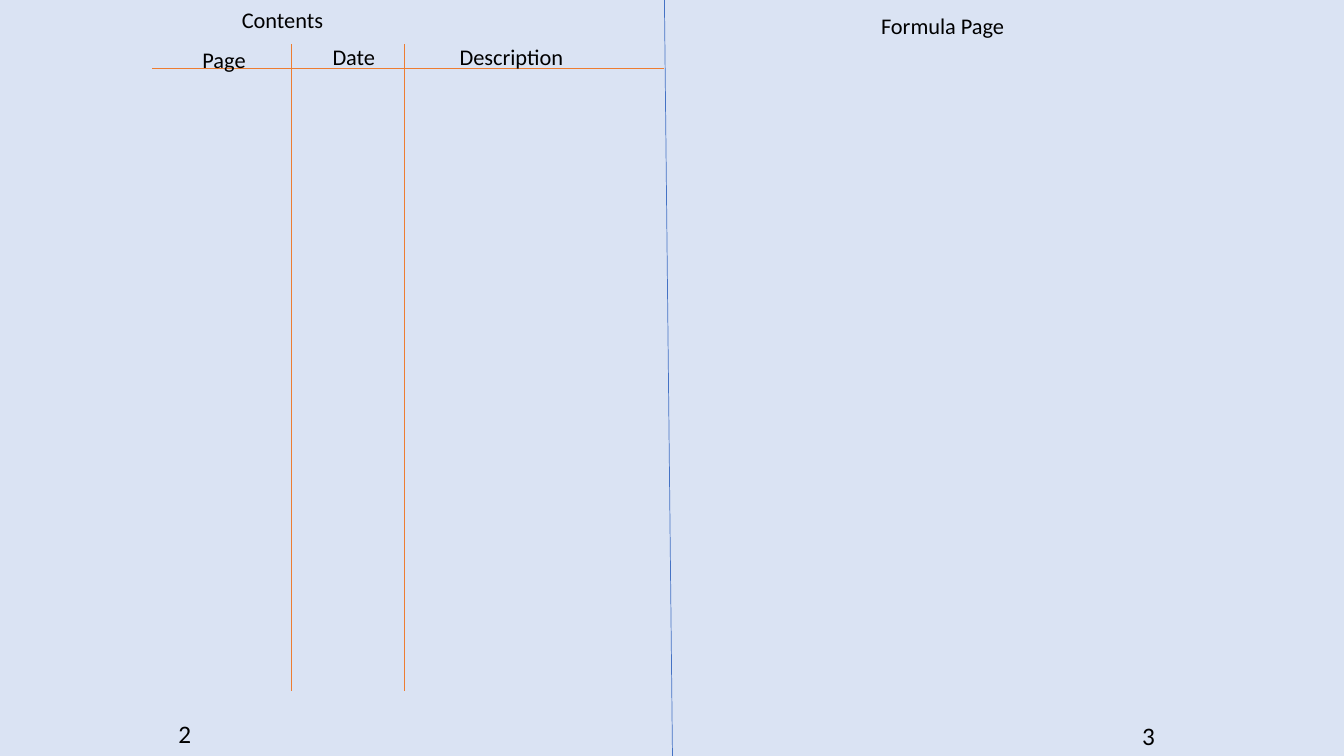
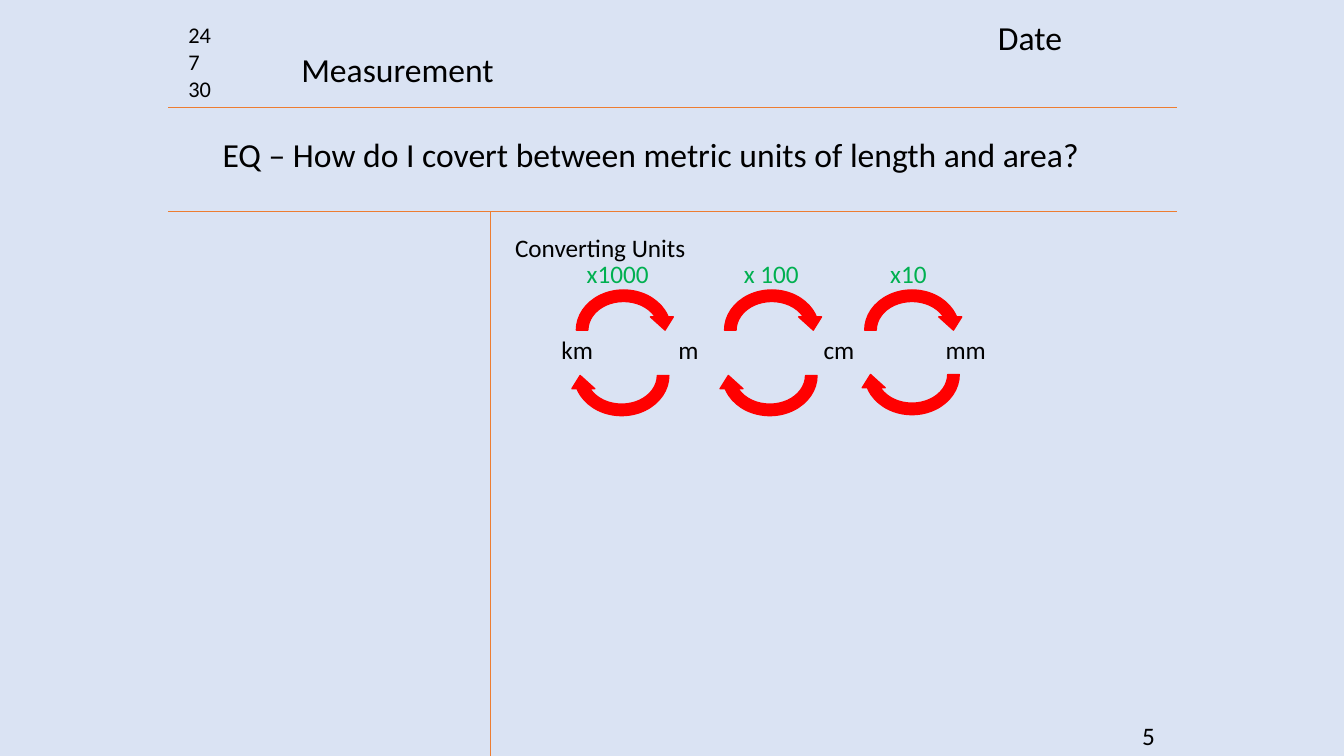
from pptx import Presentation
from pptx.dml.color import RGBColor
from pptx.enum import shapes
from pptx.oxml.ns import qn
from pptx.util import Inches, Pt
from lxml import etree

FONT = "Calibri"
PAPER = "DAE3F3"
INK = "000000"
RULE = "ED7D31"
FOLD = "4472C4"
ARROW = "FF0000"
FACTOR = "00B050"


def colour(value):
    return RGBColor.from_string(value)


def add_page(deck):
    page = deck.slides.add_slide(deck.slide_layouts[6])
    fill = page.background.fill
    fill.solid()
    fill.fore_color.rgb = colour(PAPER)
    return page


def add_text(page, content, left, top, width, height=0.4, size=18, ink=INK):
    box = page.shapes.add_textbox(Inches(left), Inches(top), Inches(width), Inches(height))
    frame = box.text_frame
    frame.word_wrap = True
    frame.text = content
    for para in frame.paragraphs:
        para.font.name = FONT
        para.font.size = Pt(size)
        para.font.color.rgb = colour(ink)


def add_rule(page, start, end, ink=RULE):
    rule = page.shapes.add_connector(
        shapes.MSO_CONNECTOR.STRAIGHT, *[Inches(value) for value in start + end])
    rule.line.color.rgb = colour(ink)
    rule.line.width = Pt(0.5)
    etree.SubElement(rule._element.spPr, qn("a:effectLst"))


def add_arrow(page, left, top, rotation=0):
    arrow = page.shapes.add_shape(
        shapes.MSO_SHAPE.CIRCULAR_ARROW, Inches(left), Inches(top), Inches(1.05), Inches(0.91))
    arrow.rotation = rotation
    arrow.shadow.inherit = False
    arrow.fill.solid()
    arrow.fill.fore_color.rgb = colour(ARROW)
    arrow.line.color.rgb = colour(ARROW)
    arrow.line.width = Pt(1)


def add_right_number(page, number):
    add_text(page, number, 11.23, 7.1, 0.6)


def build_contents(deck):
    page = add_page(deck)
    add_rule(page, (6.59, 0), (6.67, 7.5), FOLD)
    add_rule(page, (1.51, 0.68), (6.59, 0.68))
    for x in (2.89, 4.01):
        add_rule(page, (x, 0.44), (x, 6.86))
    for heading, left, top, width in (
        ("Contents", 2.3, 0.01, 1.2),
        ("Page", 1.91, 0.41, 0.8),
        ("Date", 3.2, 0.38, 0.8),
        ("Description", 4.46, 0.38, 1.53),
        ("Formula Page", 8.64, 0.07, 1.57),
    ):
        add_text(page, heading, left, top, width, 0.37, size=16)
    add_text(page, "2", 1.67, 7.08, 0.4)
    add_right_number(page, "3")


def build_measurement(deck):
    page = add_page(deck)
    for y in (1.07, 2.1):
        add_rule(page, (1.67, y), (11.67, y))
    add_rule(page, (4.86, 2.1), (4.86, 7.5))
    add_text(page, "24\n7\n30", 1.77, 0.16, 0.63, 0.91, size=16)
    for heading, left, top, width in (
        ("Measurement", 2.89, 0.44, 2.3),
        ("Date", 9.8, 0.12, 1.73),
        ("EQ – How do I covert between metric units of length and area?", 2.11, 1.28, 9),
    ):
        add_text(page, heading, left, top, width, 0.5, size=24)
    add_text(page, "Converting Units", 5.01, 2.26, 2.1)

    for forward, back, back_top in ((5.66, 5.64, 3.27), (7.13, 7.11, 3.27), (8.52, 8.52, 3.26)):
        add_arrow(page, forward, 2.82)
        add_arrow(page, back, back_top, 180)
    for unit, left in (("km", 5.47), ("m", 6.63), ("cm", 8.07), ("mm", 9.28)):
        add_text(page, unit, left, 3.27, 0.7)
    for factor, left in (("x1000", 5.72), ("x 100", 7.28), ("x10", 8.73)):
        add_text(page, factor, left, 2.51, 1, ink=FACTOR)
    add_right_number(page, "5")


def main():
    deck = Presentation()
    deck.slide_width = Inches(13.33)
    deck.slide_height = Inches(7.5)
    build_contents(deck)
    build_measurement(deck)
    deck.save("out.pptx")


if __name__ == "__main__":
    main()
